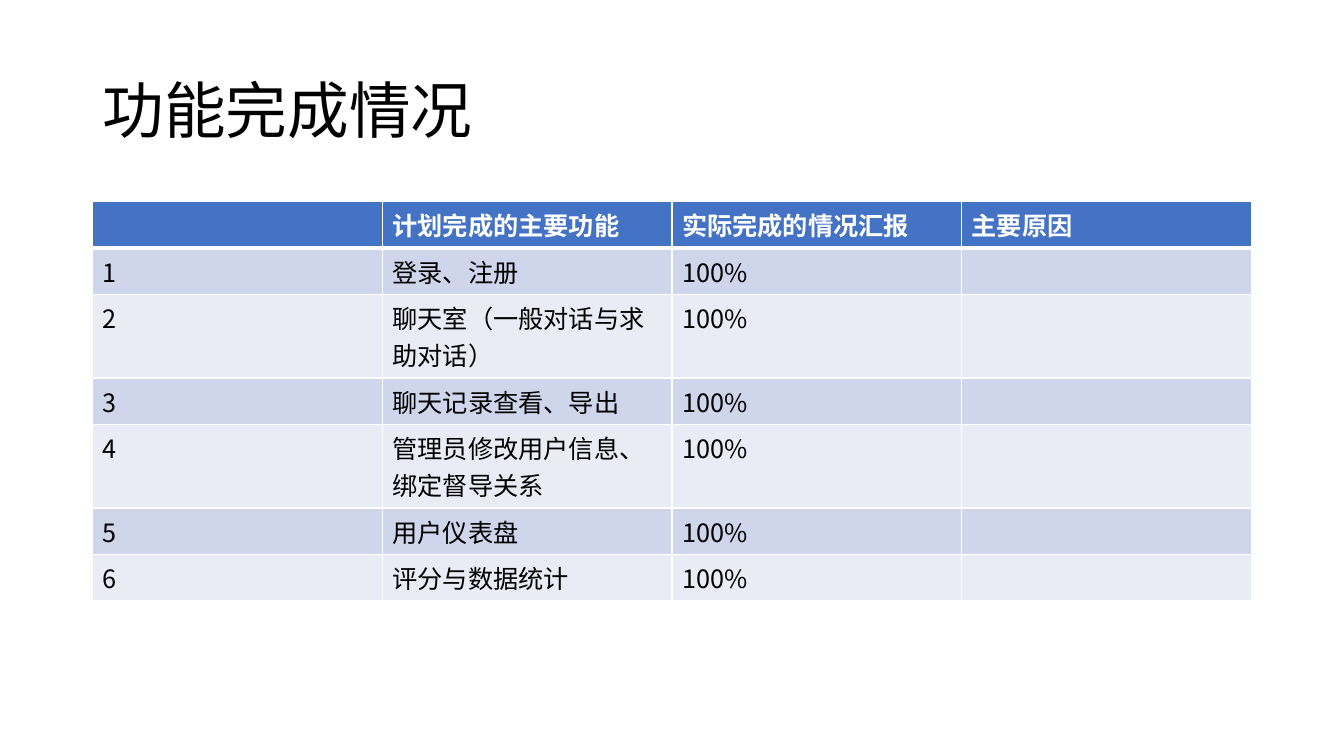
import pptx
import pptx.dml.color
import pptx.enum.text
import pptx.oxml
import pptx.oxml.ns
import pptx.util
from pptx.util import Inches

FONT = "Noto Sans CJK SC"
HEAD = ["", "计划完成的主要功能", "实际完成的情况汇报", "主要原因"]
TASKS = [
    "登录、注册",
    "聊天室（一般对话与求助对话）",
    "聊天记录查看、导出",
    "管理员修改用户信息、绑定督导关系",
    "用户仪表盘",
    "评分与数据统计",
]
BANDS = ["CFD5EA", "E9EBF5"]
LINE_MAX = 10  # characters that fit on one line of a cell


def color(code):
    return pptx.dml.color.RGBColor.from_string(code)


def style(frame, size, code, bold=False):
    for para in frame.paragraphs:
        for run in para.runs:
            run.font.size = pptx.util.Pt(size)
            run.font.bold = bold
            run.font.name = FONT
            run.font.color.rgb = color(code)
            # Chinese glyphs take the East Asian font
            east = pptx.oxml.parse_xml(
                f'<a:ea {pptx.oxml.ns.nsdecls("a")} typeface="{FONT}"/>')
            run.font._element.find(pptx.oxml.ns.qn("a:latin")).addnext(east)


def border(cell, side, width):
    line = pptx.oxml.parse_xml(
        f'<a:ln{side} {pptx.oxml.ns.nsdecls("a")} w="{pptx.util.Pt(width)}">'
        '<a:solidFill><a:srgbClr val="FFFFFF"/></a:solidFill>'
        f'</a:ln{side}>')
    cell._tc.get_or_add_tcPr().append(line)


def add_title(slide, text):
    box = slide.shapes.add_textbox(
        Inches(0.92), Inches(0.4), Inches(11.5), Inches(1.45))
    frame = box.text_frame
    frame.word_wrap = True
    frame.vertical_anchor = pptx.enum.text.MSO_ANCHOR.MIDDLE
    frame.text = text
    frame.paragraphs[0].line_spacing = 0.9
    style(frame, 44, "000000")


def fill_cell(cell, text, row):
    head = row == 0
    widths = {"L": 1, "R": 1, "T": 3 if row == 1 else 1, "B": 3 if head else 1}
    for side, width in widths.items():
        border(cell, side, width)
    cell.fill.solid()
    cell.fill.fore_color.rgb = color("4472C4" if head else BANDS[(row - 1) % 2])
    cell.text_frame.text = text
    style(cell.text_frame, 18, "FFFFFF" if head else "000000", head)


def add_grid(slide, rows):
    # A row whose text wraps is taller
    tall = [0.83 if len(texts[1]) > LINE_MAX else 0.46 for texts in rows]
    table = slide.shapes.add_table(
        len(rows), len(HEAD), Inches(0.92), Inches(2),
        Inches(11.49), Inches(sum(tall))).table
    for r, texts in enumerate(rows):
        table.rows[r].height = Inches(tall[r])
        for c, text in enumerate(texts):
            fill_cell(table.cell(r, c), text, r)


def main():
    deck = pptx.Presentation()
    deck.slide_width = Inches(13.33)
    deck.slide_height = Inches(7.5)
    slide = deck.slides.add_slide(deck.slide_layouts[6])

    # Title
    add_title(slide, "功能完成情况")

    # Status of each planned feature
    tasks = [[str(n), task, "100%", ""] for n, task in enumerate(TASKS, 1)]
    add_grid(slide, [HEAD] + tasks)

    deck.save("out.pptx")


if __name__ == "__main__":
    main()
